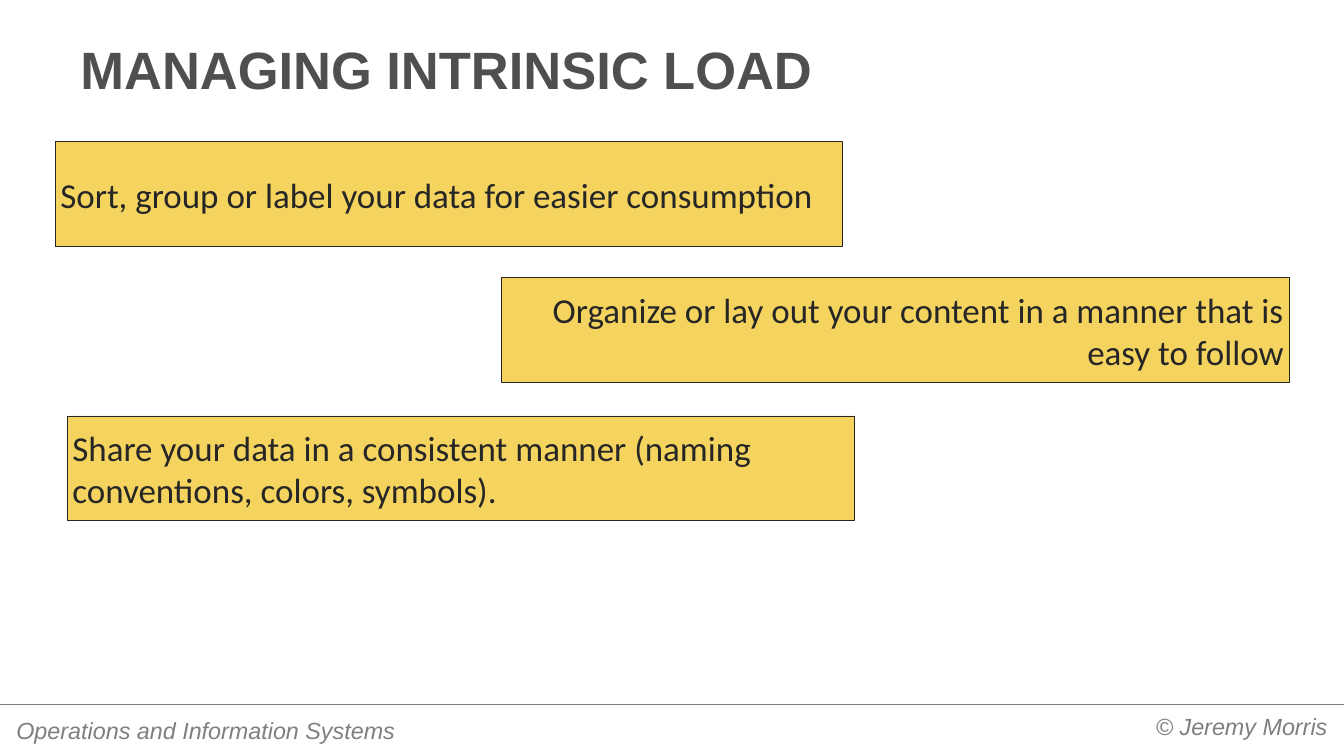
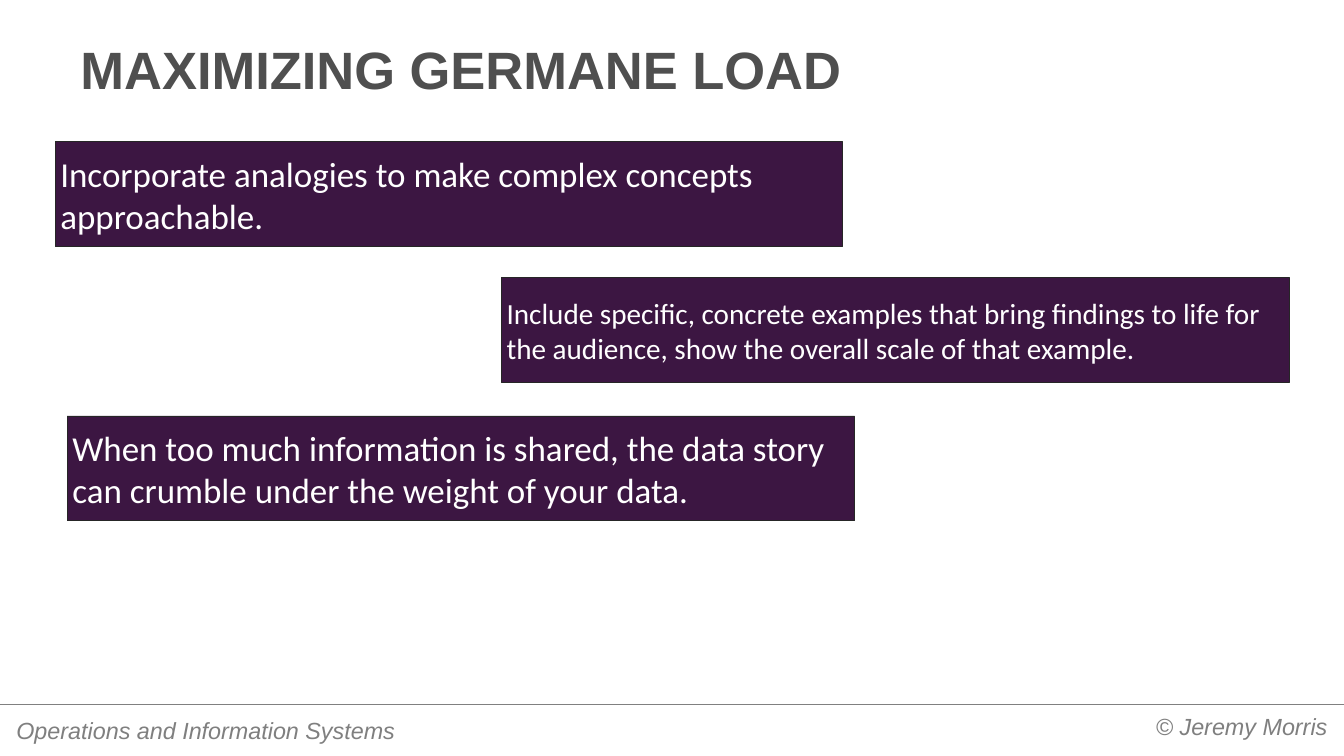
import pptx
import pptx.dml.color
import pptx.enum.shapes
import pptx.enum.text
import pptx.util
from lxml import etree
from pptx.oxml.ns import qn

Cm = pptx.util.Cm
Pt = pptx.util.Pt
ALIGN = pptx.enum.text.PP_ALIGN
ANCHOR = pptx.enum.text.MSO_ANCHOR

# Content: each statement is (text, size, alignment)
SLIDES = [
    {
        "title": "MANAGING INTRINSIC LOAD",
        "fill": "F4D35E",
        "text": "262626",
        "statements": [
            ("Sort, group or label your data for easier consumption", 48, ALIGN.LEFT),
            ("Organize or lay out your content in a manner that is easy to follow",
             48, ALIGN.RIGHT),
            ("Share your data in a consistent manner (naming conventions, colors, symbols).",
             48, ALIGN.LEFT),
        ],
    },
    {
        "title": "MAXIMIZING GERMANE LOAD",
        "fill": "3C1642",
        "text": "FFFFFF",
        "statements": [
            ("Incorporate analogies to make complex concepts approachable.", 48, ALIGN.LEFT),
            ("Include specific, concrete examples that bring findings to life for the "
             "audience, show the overall scale of that example.", 40, ALIGN.LEFT),
            ("When too much information is shared, the data story can crumble under "
             "the weight of your data.", 48, ALIGN.LEFT),
        ],
    },
]
# Footer: (text, left, top, width, height, alignment), lengths in cm
FOOTERS = [
    ("© Jeremy Morris", 37.03, 34.24, 27.66, 3.2, ALIGN.RIGHT),
    ("Operations and Information Systems", 0.33, 34.44, 22.23, 1.83, ALIGN.LEFT),
]

# Shared style, lengths in cm
WIDTH, HEIGHT = 65.02, 36.58
RULE_TOP = 34.06
BOX_WIDTH, BOX_HEIGHT = 38.1, 5.08
BOX_SPOTS = [(2.67, 6.86), (24.26, 13.44), (3.25, 20.12)]
TITLE_COLOR, FOOTER_COLOR = "4F4F4F", "7F7F7F"
RULE_COLOR, BORDER_COLOR = "808080", "262626"
HEAD_FONT, BODY_FONT = "Arial", "Calibri"


def rgb(value):
    return pptx.dml.color.RGBColor.from_string(value)


def set_line(line, color):
    line.color.rgb = rgb(color)
    line.width = Pt(0.75)


def write(sp, text, font, size, color, align, anchor, inset, bold=False, italic=False):
    """Put one paragraph in a shape; inset is (horizontal, vertical) in cm."""
    tf = sp.text_frame
    tf.word_wrap = True
    tf.auto_size = pptx.enum.text.MSO_AUTO_SIZE.NONE
    tf.vertical_anchor = anchor
    tf.margin_left = tf.margin_right = Cm(inset[0])
    tf.margin_top = tf.margin_bottom = Cm(inset[1])
    p = tf.paragraphs[0]
    p.alignment = align
    r = p.add_run()
    r.text = text
    r.font.name = font
    r.font.size = Pt(size)
    r.font.bold = bold
    r.font.italic = italic
    r.font.color.rgb = rgb(color)


def add_footer(s):
    rule = s.shapes.add_connector(pptx.enum.shapes.MSO_CONNECTOR.STRAIGHT,
                                  0, Cm(RULE_TOP), Cm(WIDTH), Cm(RULE_TOP))
    set_line(rule.line, RULE_COLOR)
    etree.SubElement(rule._element.spPr, qn("a:effectLst"))
    for text, left, top, width, height, align in FOOTERS:
        sp = s.shapes.add_textbox(Cm(left), Cm(top), Cm(width), Cm(height))
        write(sp, text, HEAD_FONT, 32, FOOTER_COLOR, align, ANCHOR.TOP,
              (0.46, 0.23), italic=True)


def set_title(s, text):
    sp = s.shapes.title
    sp.left, sp.top, sp.width, sp.height = Cm(3.25), Cm(1.35), Cm(58.52), Cm(3.78)
    write(sp, text, HEAD_FONT, 72, TITLE_COLOR, ALIGN.LEFT, ANCHOR.BOTTOM,
          (0.64, 0.3), bold=True)


def add_statement(s, spot, statement, fill, color):
    text, size, align = statement
    left, top = spot
    sp = s.shapes.add_shape(pptx.enum.shapes.MSO_SHAPE.RECTANGLE,
                            Cm(left), Cm(top), Cm(BOX_WIDTH), Cm(BOX_HEIGHT))
    sp.shadow.inherit = False
    sp.fill.solid()
    sp.fill.fore_color.rgb = rgb(fill)
    set_line(sp.line, BORDER_COLOR)
    write(sp, text, BODY_FONT, size, color, align, ANCHOR.MIDDLE, (0.25, 0.13))


def main():
    prs = pptx.Presentation()
    prs.slide_width, prs.slide_height = Cm(WIDTH), Cm(HEIGHT)
    for content in SLIDES:
        s = prs.slides.add_slide(prs.slide_layouts.get_by_name("Title Only"))
        add_footer(s)
        set_title(s, content["title"])
        for spot, statement in zip(BOX_SPOTS, content["statements"]):
            add_statement(s, spot, statement, content["fill"], content["text"])
    prs.save("out.pptx")


if __name__ == "__main__":
    main()
